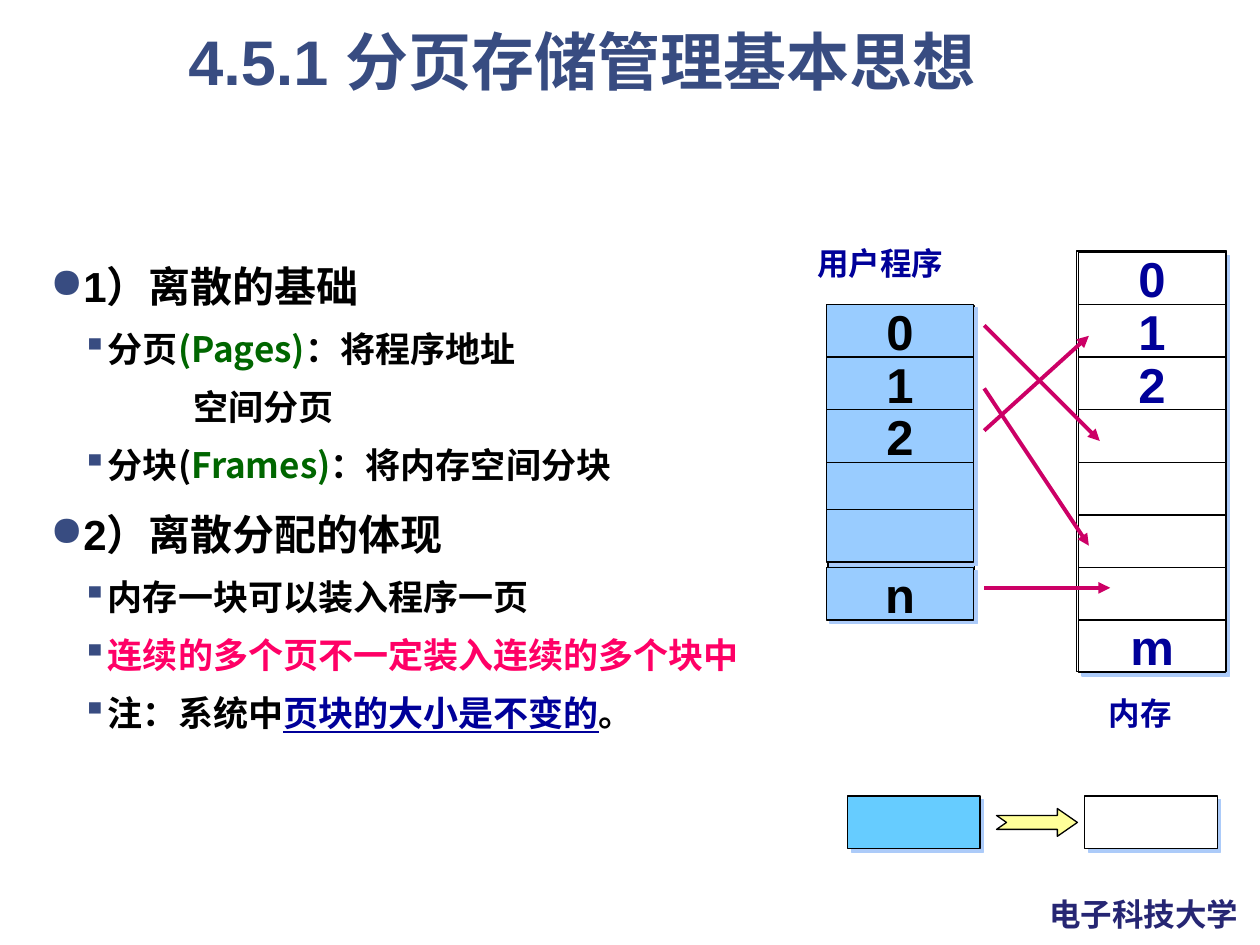
from dataclasses import dataclass

from lxml.etree import SubElement
from pptx import Presentation
from pptx.dml.color import RGBColor
from pptx.enum.shapes import MSO_CONNECTOR as Connector, MSO_SHAPE as Shape
from pptx.enum.text import MSO_ANCHOR as Anchor, PP_ALIGN as Align
from pptx.oxml.ns import qn
from pptx.util import Cm, Pt


@dataclass(frozen=True)
class Theme:
    """Colours, fonts and type sizes of the slide."""
    title: str = "384C81"
    ink: str = "000000"
    navy: str = "000099"
    footer: str = "262673"
    green: str = "006600"
    pink: str = "FF0066"
    arrow: str = "CC0066"
    page: str = "99CCFF"
    sample: str = "66CCFF"
    frame: str = "FFFFFF"
    block_arrow: str = "FFFF99"
    shadow: str = "ACCBF9"
    latin: str = "Arial"
    asian: str = "Noto Sans CJK SC"
    title_size: int = 36
    cell_size: int = 28
    head_size: int = 24
    item_size: int = 20
    label_size: int = 18


@dataclass(frozen=True)
class Box:
    """A rectangle in centimetres."""
    left: float
    top: float
    width: float
    height: float

    def inner(self, dx, dy, width, height):
        """Return a box placed relative to this one."""
        return Box(self.left + dx, self.top + dy, width, height)

    def lengths(self):
        """Return left, top, width and height as slide lengths."""
        return [Cm(n) for n in (self.left, self.top, self.width, self.height)]


THEME = Theme()
ROW = 1.06


def style(para, size, color, latin=THEME.latin):
    """Set the bold face of a whole paragraph."""
    font = para.font
    font.size, font.bold, font.name = Pt(size), True, latin
    font.color.rgb = RGBColor.from_string(color)
    face = para._p.pPr.find(qn("a:defRPr"))
    SubElement(face, qn("a:ea"), typeface=THEME.asian)


def add_bullet(para, mark, margin, indent):
    """Set the indents of a paragraph and its bullet, if it has one."""
    props = para._p.get_or_add_pPr()
    props.set("marL", str(Cm(margin)))
    props.set("indent", str(Cm(indent)))
    if mark:
        color = SubElement(props, qn("a:buClr"))
        SubElement(color, qn("a:srgbClr"), val=THEME.title)
        SubElement(props, qn("a:buChar"), char=mark)
    else:
        SubElement(props, qn("a:buNone"))


def add_block(page, box, fill=None, kind=Shape.RECTANGLE, shadow=True):
    """Draw an outlined shape, with an offset shadow if wanted."""
    block = page.shapes.add_shape(kind, *box.lengths())
    block.shadow.inherit = False
    if fill:
        block.fill.solid()
        block.fill.fore_color.rgb = RGBColor.from_string(fill)
    else:
        block.fill.background()
    block.line.color.rgb = RGBColor.from_string(THEME.ink)
    block.line.width = Pt(0.75)
    if shadow:
        effects = block._element.spPr.find(qn("a:effectLst"))
        outer = SubElement(effects, qn("a:outerShdw"), dist=str(Pt(2.8)),
                           dir="2700000", algn="ctr", rotWithShape="0")
        SubElement(outer, qn("a:srgbClr"), val=THEME.shadow)
    return block


def add_cell(page, box, text, fill, color):
    """Draw one numbered cell of a column."""
    frame = add_block(page, box, fill).text_frame
    if text:
        frame.word_wrap = False
        frame.vertical_anchor = Anchor.MIDDLE
        para = frame.paragraphs[0]
        para.text, para.alignment = text, Align.CENTER
        style(para, THEME.cell_size, color)


def add_label(page, box, text, color=THEME.navy):
    """Write a one-line label."""
    frame = page.shapes.add_textbox(*box.lengths()).text_frame
    frame.word_wrap = True
    para = frame.paragraphs[0]
    para.text = text
    style(para, THEME.label_size, color)


def add_title(page, box):
    """Place and format the title."""
    title = page.shapes.title
    title.left, title.top, title.width, title.height = box.lengths()
    frame = title.text_frame
    frame.vertical_anchor = Anchor.MIDDLE
    para = frame.paragraphs[0]
    para.text = "4.5.1 分页存储管理基本思想"
    para.alignment, para.line_spacing = Align.CENTER, 0.9
    style(para, THEME.title_size, THEME.title)


def add_outline(page, box):
    """Write the two-level outline."""
    head = ("●", 1.27, -0.51, THEME.head_size, THEME.latin, 12)
    item = ("▪", 1.91, -0.51, THEME.item_size, THEME.asian, 8)
    more = ("", 3.65, 0, THEME.item_size, THEME.asian, 8)
    lines = [
        (head, [("1）离散的基础", None)]),
        (item, [("分页", None), ("(Pages)", THEME.green), ("：将程序地址", None)]),
        (more, [("空间分页", None)]),
        (item, [("分块(", None), ("Frames)", THEME.green), ("：将内存空间分块", None)]),
        (head, [("2）离散分配的体现", None)]),
        (item, [("内存一块可以装入程序一页", None)]),
        (item, [("连续的多个页不一定装入连续的多个块中", THEME.pink)]),
        (item, [("注：系统中", None), ("页块的大小是不变的", THEME.navy), ("。", None)]),
    ]
    frame = page.shapes.add_textbox(*box.lengths()).text_frame
    frame.word_wrap = True
    for index, (level, spans) in enumerate(lines):
        mark, margin, indent, size, latin, before = level
        para = frame.add_paragraph() if index else frame.paragraphs[0]
        add_bullet(para, mark, margin, indent)
        para.line_spacing = 1.05
        para.space_before = Pt(before if index else 0)
        style(para, size, THEME.ink, latin)
        for text, color in spans:
            span = para.add_run()
            span.text = text
            if color:
                span.font.color.rgb = RGBColor.from_string(color)
                span.font.underline = True if color == THEME.navy else None


def add_program(page, box):
    """Draw the pages of the user program."""
    add_block(page, box.inner(0.03, 0.03, 2.95, 6.27), THEME.page, shadow=False)
    rows = [(0, "0"), (1, "1"), (2, "2"), (3, ""), (3.9, ""), (5, "n")]
    for row, text in rows:
        cell = box.inner(0, row * ROW, box.width, ROW)
        add_cell(page, cell, text, THEME.page, THEME.ink)
    add_label(page, box.inner(-0.43, -1.34, 3.89, 1.27), "用户程序")


def add_memory(page, box):
    """Draw the frames of the memory."""
    for row, text in enumerate(["0", "1", "2", "", "", "", "", "m"]):
        cell = box.inner(0, row * ROW, box.width, ROW)
        add_cell(page, cell, text, THEME.frame, THEME.navy)
    add_block(page, box.inner(-0.04, -0.02, 3.02, box.height), shadow=False)
    add_label(page, box.inner(0.36, 8.79, 2.21, 1.27), "内存")


def add_legend(page, box):
    """Draw the page-to-frame key."""
    add_block(page, box.inner(0, 0, 2.67, ROW), THEME.sample)
    add_block(page, box.inner(4.78, 0, 2.67, ROW), THEME.frame)
    arrow = add_block(page, box.inner(3, 0.25, 1.63, 0.56), THEME.block_arrow,
                      Shape.NOTCHED_RIGHT_ARROW, shadow=False)
    arrow.adjustments[0], arrow.adjustments[1] = 0.5, 0.72


def add_mapping(page, box):
    """Draw the arrows from pages to frames."""
    ends = [(0, 2.33, 2.33), (1.27, 2.11, 4.44), (2.12, 2.11, 0.21), (5.29, 2.54, 5.29)]
    for start, dx, dy in ends:
        arrow = page.shapes.add_connector(
            Connector.STRAIGHT, Cm(box.left), Cm(box.top + start),
            Cm(box.left + dx), Cm(box.top + dy))
        arrow.line.color.rgb = RGBColor.from_string(THEME.arrow)
        arrow.line.width = Pt(2.25)
        props = arrow._element.spPr
        SubElement(props.find(qn("a:ln")), qn("a:tailEnd"), type="triangle")
        SubElement(props, qn("a:effectLst"))


def main():
    """Build and save the slide."""
    deck = Presentation()
    deck.slide_width, deck.slide_height = Cm(25.4), Cm(19.05)
    page = deck.slides.add_slide(deck.slide_layouts[5])
    add_label(page, Box(20.9, 17.91, 4.39, 1.02), "电子科技大学", THEME.footer)
    add_title(page, Box(0.76, 0.56, 21.95, 1.52))
    add_outline(page, Box(0, 5.08, 23.5, 12.7))
    add_program(page, Box(16.66, 6.14, 2.97, 6.35))
    add_memory(page, Box(21.74, 5.08, 2.97, 8.48))
    add_legend(page, Box(17.09, 16.05, 7.45, ROW))
    add_mapping(page, Box(19.84, 6.56, 2.54, 5.29))
    deck.save("out.pptx")


if __name__ == "__main__":
    main()
